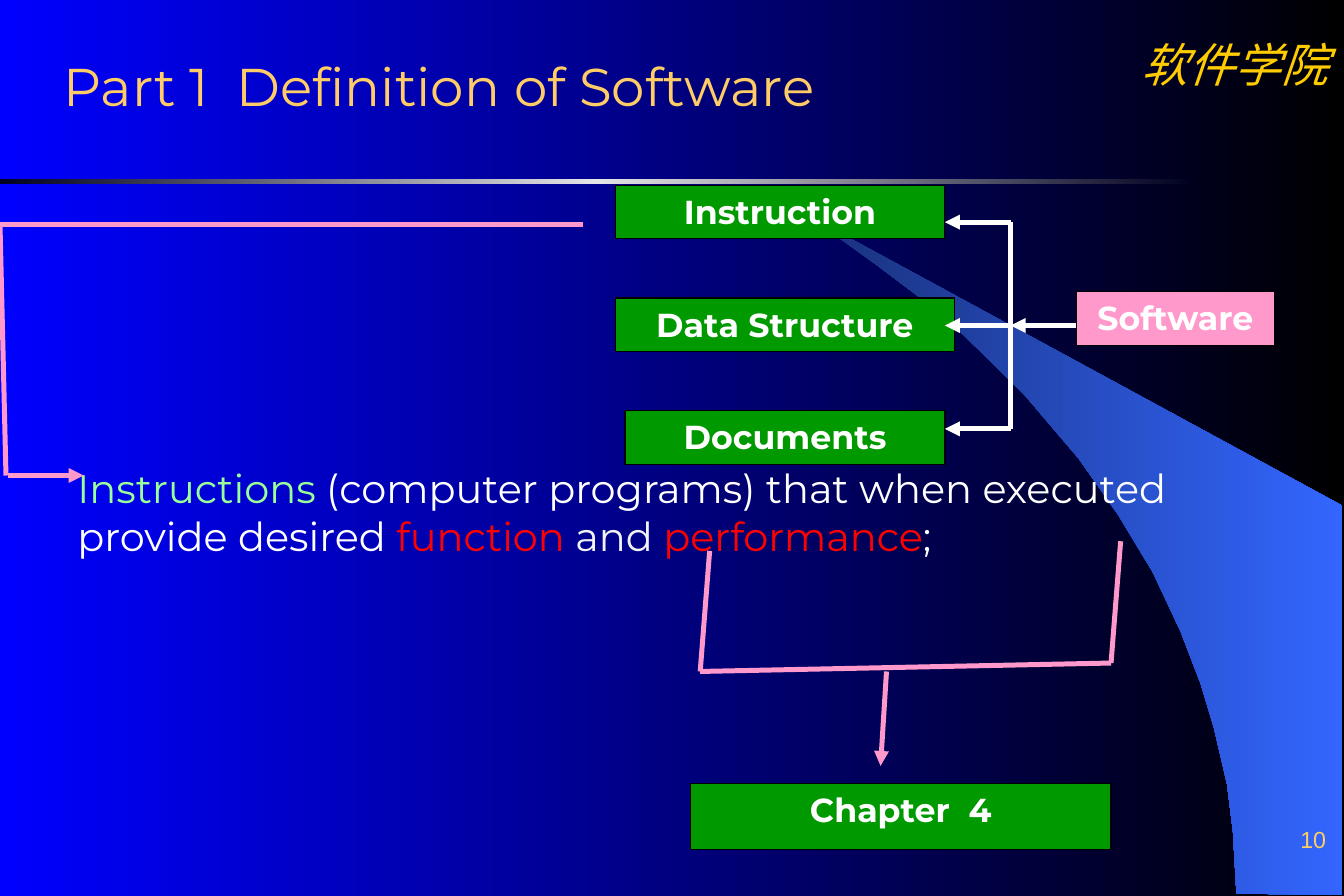
from copy import deepcopy
from pptx import Presentation
from pptx.dml.color import RGBColor
from pptx.enum.shapes import MSO_CONNECTOR, MSO_SHAPE
from pptx.enum.text import MSO_ANCHOR, MSO_AUTO_SIZE, PP_ALIGN
from pptx.oxml.ns import qn
from pptx.util import Pt
from lxml.etree import SubElement

WHITE, PINK, GREEN, GOLD, RED = "FFFFFF", "FF99CC", "009900", "FFCC66", "FF0000"
SANS = "Montserrat"


def color(code):
    return RGBColor.from_string(code)


def blend(fill, root, codes):
    """Fill with evenly spaced colours, left to right; root holds the fill's XML."""
    fill.gradient()
    fill.gradient_angle = 0
    stops = root.find(".//" + qn("a:gsLst"))
    for _ in codes[2:]:
        stops.append(deepcopy(stops[0]))
    for i, (stop, code) in enumerate(zip(fill.gradient_stops, codes)):
        stop.position = i / (len(codes) - 1)
        stop.color.rgb = color(code)


def write(shape, runs, size, face=SANS, align=PP_ALIGN.LEFT,
          anchor=MSO_ANCHOR.TOP, pad=3.6, **style):
    """Write one paragraph of (text, colour) runs."""
    frame = shape.text_frame
    layout = dict(word_wrap=True, auto_size=MSO_AUTO_SIZE.NONE,
                  vertical_anchor=anchor, margin_left=Pt(7.2),
                  margin_right=Pt(7.2), margin_top=Pt(pad), margin_bottom=Pt(pad))
    for name, value in layout.items():
        setattr(frame, name, value)
    para = frame.paragraphs[0]
    para.alignment = align
    for text, code in runs:
        run = para.add_run()
        run.text = text
        for name, value in dict(size=Pt(size), name=face, **style).items():
            setattr(run.font, name, value)
        run.font.color.rgb = color(code)


def label(slide, box, runs, size, **style):
    write(slide.shapes.add_textbox(*map(Pt, box)), runs, size, **style)


def block(slide, box, text, code):
    shape = slide.shapes.add_shape(MSO_SHAPE.RECTANGLE, *map(Pt, box))
    shape.shadow.inherit = False
    shape.fill.solid()
    shape.fill.fore_color.rgb = color(code)
    shape.line.color.rgb = color("000000")
    shape.line.width = Pt(0.75)
    write(shape, [(text, WHITE)], 20, align=PP_ALIGN.CENTER, bold=True)


def rule(slide, start, end, code, arrow=False):
    line = slide.shapes.add_connector(
        MSO_CONNECTOR.STRAIGHT, *map(Pt, (*start, *end)))
    line.line.color.rgb = color(code)
    line.line.width = Pt(3)
    if arrow:
        SubElement(line.line._get_or_add_ln(), qn("a:tailEnd"), type="triangle")
    SubElement(line._element.spPr, qn("a:effectLst"))


def swoosh(slide, x, y):
    edge = [(0, 0), (28.1, 18.7), (51.1, 35.3), (77.8, 55.4), (103, 77),
            (139.7, 113), (172.8, 151.9), (196.6, 185.8), (217.4, 220.3),
            (234, 255.6), (246.2, 287.3), (254.2, 313.9), (262.1, 347.8),
            (265.7, 376.6), (267.8, 414), (331.2, 414.7), (331.2, 180)]
    dots = [(Pt(x + dx), Pt(y + dy)) for dx, dy in edge]
    pen = slide.shapes.build_freeform(*dots[0], scale=1.0)
    pen.add_line_segments(dots[1:], close=True)
    shape = pen.convert_to_shape()
    shape.shadow.inherit = False
    shape.line.fill.background()
    blend(shape.fill, shape._element, ["182F76", "3366FF"])


def band(slide, box):
    shape = slide.shapes.add_shape(MSO_SHAPE.RECTANGLE, *map(Pt, box))
    shape.shadow.inherit = False
    shape.line.fill.background()
    blend(shape.fill, shape._element, ["000020", "E5E5E8", "000020"])


def frame(slide):
    """Backdrop, school name, page number and title."""
    blend(slide.background.fill, slide._element, ["0000FF", "000000"])
    swoosh(slide, 477.4, 124.6)
    band(slide, (0, 108, 719.3, 2.9))
    label(slide, (678.2, 18, 131.8, 41), [("软件学院", "FFCC00")], 28,
          face="Times New Roman", align=PP_ALIGN.CENTER, italic=True)
    label(slide, (637.9, 483.8, 168.5, 30.2), [("10", GOLD)], 14, face="Arial",
          align=PP_ALIGN.RIGHT, anchor=MSO_ANCHOR.BOTTOM, pad=0)
    title = slide.shapes.title
    place = dict(left=31, top=31.7, width=555.8, height=39.6)
    for name, value in place.items():
        setattr(title, name, Pt(value))
    write(title, [("Part 1  Definition of Software", GOLD)], 32,
          anchor=MSO_ANCHOR.MIDDLE)


def tree(slide, x, y):
    """Software and its three parts."""
    tip, trunk, root = x + 198.7, x + 238.3, x + 277.9
    high, mid, low = [y + 22.3 + 62.3 * i for i in range(3)]
    block(slide, (root, y + 64.1, 119.5, 32.4), "Software", PINK)
    parts = [("Instruction", 0, 198.7), ("Data Structure", 0, 204.5),
             ("Documents", 5.8, 193)]
    for i, (text, dx, width) in enumerate(parts):
        block(slide, (x + dx, y + 68 * i, width, 32.4), text, GREEN)
    rule(slide, (root, mid), (trunk, mid), WHITE, True)
    rule(slide, (trunk, low), (trunk, high), WHITE)
    for level in (high, mid, low):
        rule(slide, (trunk, level), (tip, level), WHITE, True)


def meaning(slide, x, y):
    """Definition text with the bent arrow that leads to it."""
    label(slide, (x + 39.6, y + 140.4, 727.9, 60.5),
          [("Instructions ", "99FF99"),
           ("(computer programs) that when executed provide desired ", WHITE),
           ("function", RED), (" and ", "F2F2F2"),
           ("performance", RED), (";", WHITE)], 24)
    rule(slide, (x, y), (x + 351.4, y), PINK)
    rule(slide, (x, y), (x + 3.6, y + 151.2), PINK)
    rule(slide, (x + 5, y + 151.2), (x + 50.4, y + 151.2), PINK, True)


def chapter(slide, x, y):
    """Bracket under the definition, pointing to the chapter."""
    block(slide, (x, y + 146.2, 253.4, 39.6), "Chapter  4", GREEN)
    left, right = (x + 5.8, y + 78.5), (x + 253.4, y + 73.4)
    rule(slide, (x + 11.5, y + 5.8), left, PINK)
    rule(slide, left, right, PINK)
    rule(slide, (x + 259.2, y), right, PINK)
    rule(slide, (x + 118.1, y + 78.5), (x + 114.5, y + 135.4), PINK, True)


def main():
    deck = Presentation()
    deck.slide_width, deck.slide_height = Pt(810), Pt(540)
    slide = deck.slides.add_slide(deck.slide_layouts[5])
    frame(slide)
    tree(slide, 370.8, 111.6)
    meaning(slide, 0, 135.4)
    chapter(slide, 416.2, 326.2)
    deck.save("out.pptx")


if __name__ == "__main__":
    main()
